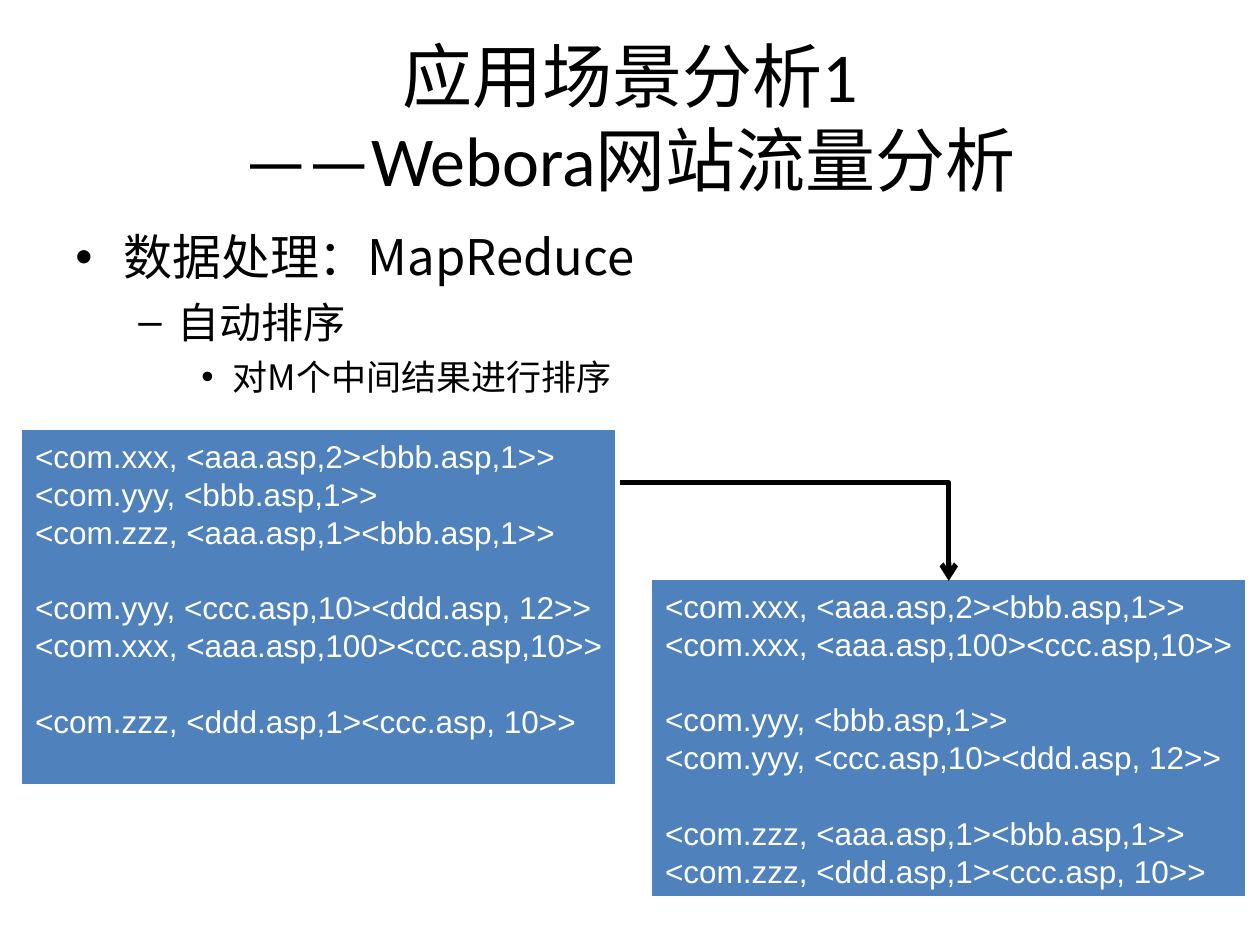
from lxml.etree import SubElement
from pptx import Presentation
from pptx.dml.color import RGBColor
from pptx.enum.shapes import MSO_CONNECTOR, MSO_SHAPE
from pptx.enum.text import MSO_ANCHOR, MSO_AUTO_SIZE, PP_ALIGN
from pptx.oxml.ns import qn
from pptx.util import Inches, Pt


def color(value):
    return RGBColor.from_string(value)


def write_paragraph(para, text, font, size, ink, align=PP_ALIGN.LEFT, before=0,
                    level=0, bullet=None, margin=0, hanging=0):
    para.alignment = align
    para.level = level
    para.space_before = Pt(before)
    if bullet:
        properties = para._p.get_or_add_pPr()
        properties.set("marL", str(Inches(margin)))
        properties.set("indent", str(-Inches(hanging)))
        SubElement(properties, qn("a:buFont"), typeface="Arial")
        SubElement(properties, qn("a:buChar"), char=bullet)
    for index, line in enumerate(text.split("\n")):
        if index:
            para.add_line_break()
        span = para.add_run()
        span.text = line
        span.font.name = font
        span.font.size = Pt(size)
        span.font.color.rgb = color(ink)


class SlideBuilder:
    ink = "000000"
    panel_fill = "4F81BD"
    panel_ink = "FFFFFF"
    title_font = "Calibri"
    body_font = "Noto Sans CJK SC"
    record_font = "Arial"
    bullet_styles = [
        dict(size=28, bullet="•", margin=0.38, hanging=0.38),
        dict(size=24, bullet="–", margin=0.81, hanging=0.31, before=6),
        dict(size=20, bullet="•", margin=1.25, hanging=0.25, before=5),
    ]

    def __init__(self, page):
        self.page = page

    def text_box(self, left, top, width, height, anchor):
        box = self.page.shapes.add_textbox(
            Inches(left), Inches(top), Inches(width), Inches(height))
        frame = box.text_frame
        frame.word_wrap = True
        frame.vertical_anchor = anchor
        return frame

    def title(self, text, *bounds):
        frame = self.text_box(*bounds, MSO_ANCHOR.MIDDLE)
        write_paragraph(frame.paragraphs[0], text, self.title_font, 40, self.ink,
                        align=PP_ALIGN.CENTER)

    def outline(self, items, *bounds):
        frame = self.text_box(*bounds, MSO_ANCHOR.TOP)
        for level, text in enumerate(items):
            para = frame.add_paragraph() if level else frame.paragraphs[0]
            write_paragraph(para, text, self.body_font, ink=self.ink, level=level,
                            **self.bullet_styles[level])

    def record_panel(self, groups, left, top, width, height):
        panel = self.page.shapes.add_shape(
            MSO_SHAPE.RECTANGLE, Inches(left), Inches(top), Inches(width), Inches(height))
        panel.shadow.inherit = False
        panel.fill.solid()
        panel.fill.fore_color.rgb = color(self.panel_fill)
        panel.line.color.rgb = color(self.panel_fill)
        panel.line.width = Pt(0.75)
        frame = panel.text_frame
        frame.word_wrap = False
        frame.auto_size = MSO_AUTO_SIZE.NONE
        frame.vertical_anchor = MSO_ANCHOR.TOP
        para = frame.paragraphs[0]
        for group_index, group in enumerate(groups):
            for index, record in enumerate(group):
                if group_index or index:
                    para = frame.add_paragraph()
                before = 21.6 if group_index and not index else 0
                write_paragraph(para, record, self.record_font, 18, self.panel_ink,
                                before=before)

    def bent_arrow(self, left, top, right, bottom):
        arrow = self.page.shapes.add_connector(
            MSO_CONNECTOR.ELBOW, Inches(left), Inches(top), Inches(right), Inches(bottom))
        arrow.line.color.rgb = color(self.ink)
        arrow.line.width = Pt(3)
        properties = arrow._element.spPr
        properties.find(qn("a:prstGeom")).set("prst", "bentConnector2")
        SubElement(properties.find(qn("a:ln")), qn("a:tailEnd"), type="arrow")
        SubElement(properties, qn("a:effectLst"))


def main():
    deck = Presentation()
    deck.slide_width = Inches(10)
    deck.slide_height = Inches(7.5)
    builder = SlideBuilder(deck.slides.add_slide(deck.slide_layouts[6]))

    builder.title("应用场景分析1\n——Webora网站流量分析", 0.5, 0.3, 9, 1.25)
    builder.outline(["数据处理：MapReduce", "自动排序", "对M个中间结果进行排序"],
                    0.5, 1.75, 9, 4.95)

    xxx_first = "<com.xxx, <aaa.asp,2><bbb.asp,1>>"
    xxx_second = "<com.xxx, <aaa.asp,100><ccc.asp,10>>"
    yyy_first = "<com.yyy, <bbb.asp,1>>"
    yyy_second = "<com.yyy, <ccc.asp,10><ddd.asp, 12>>"
    zzz_first = "<com.zzz, <aaa.asp,1><bbb.asp,1>>"
    zzz_second = "<com.zzz, <ddd.asp,1><ccc.asp, 10>>"
    unsorted_groups = [[xxx_first, yyy_first, zzz_first],
                       [yyy_second, xxx_second], [zzz_second]]
    sorted_groups = [[xxx_first, xxx_second], [yyy_first, yyy_second],
                     [zzz_first, zzz_second]]
    panel_width = 4.7
    sorted_left, sorted_top = 5.18, 4.61
    builder.record_panel(unsorted_groups, 0.18, 3.42, panel_width, 2.8)
    builder.record_panel(sorted_groups, sorted_left, sorted_top, panel_width, 2.5)
    builder.bent_arrow(4.92, 3.83, sorted_left + panel_width / 2, sorted_top)

    deck.save("out.pptx")


if __name__ == "__main__":
    main()
